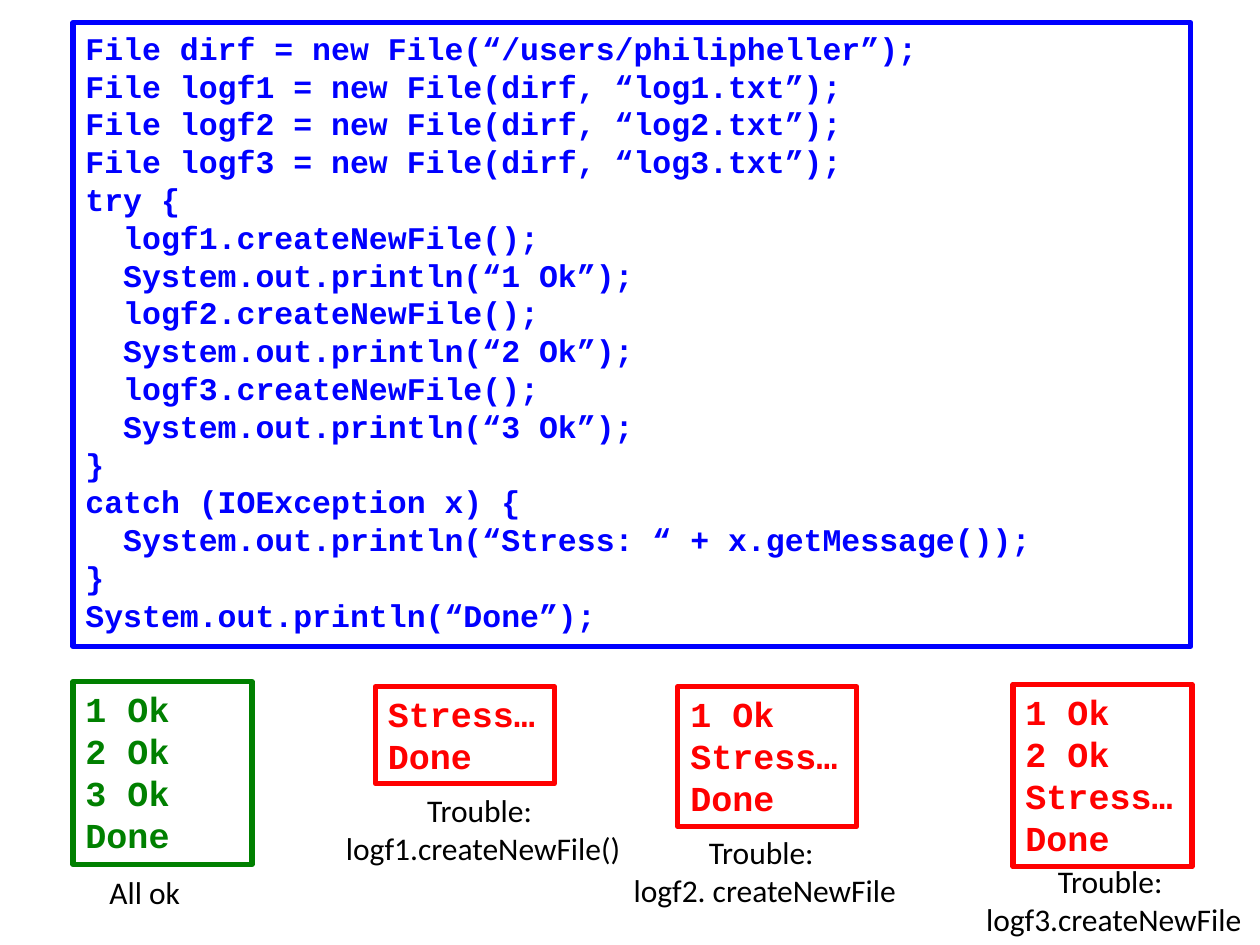
from dataclasses import dataclass

from pptx import Presentation
from pptx.dml.color import RGBColor
from pptx.enum.shapes import MSO_SHAPE
from pptx.enum.text import MSO_ANCHOR, MSO_AUTO_SIZE, PP_ALIGN
from pptx.util import Inches, Pt

RECTANGLE = MSO_SHAPE.RECTANGLE
TOP = MSO_ANCHOR.TOP
FIT_SHAPE = MSO_AUTO_SIZE.SHAPE_TO_FIT_TEXT
LEFT, CENTER = PP_ALIGN.LEFT, PP_ALIGN.CENTER

BLUE = RGBColor(0x00, 0x00, 0xFF)
GREEN = RGBColor(0x00, 0x80, 0x00)
RED = RGBColor(0xFF, 0x00, 0x00)
BLACK = RGBColor(0x00, 0x00, 0x00)

OUTPUT_WIDTH = 1.42

CODE = """\
File dirf = new File(“/users/philipheller”);
File logf1 = new File(dirf, “log1.txt”);
File logf2 = new File(dirf, “log2.txt”);
File logf3 = new File(dirf, “log3.txt”);
try {
  logf1.createNewFile();
  System.out.println(“1 Ok”);
  logf2.createNewFile();
  System.out.println(“2 Ok”);
  logf3.createNewFile();
  System.out.println(“3 Ok”);
}
catch (IOException x) {
  System.out.println(“Stress: “ + x.getMessage());
}
System.out.println(“Done”);"""


@dataclass
class CodeBox:
    left: float
    top: float
    width: float
    height: float
    text: str
    color: RGBColor
    size: int = 20


@dataclass
class Caption:
    left: float
    top: float
    width: float
    height: float
    text: str
    alignment: PP_ALIGN = CENTER


CODE_BOXES = [
    # Program listing
    CodeBox(0.58, 0.18, 8.87, 4.95, CODE, BLUE, 18),
    # Output of each possible run
    CodeBox(0.58, 5.41, OUTPUT_WIDTH, 1.45, "1 Ok\n2 Ok\n3 Ok\nDone", GREEN),
    CodeBox(2.98, 5.45, OUTPUT_WIDTH, 0.77, "Stress…\nDone", RED),
    CodeBox(5.38, 5.45, OUTPUT_WIDTH, 1.11, "1 Ok\nStress…\nDone", RED),
    CodeBox(8.04, 5.43, OUTPUT_WIDTH, 1.45, "1 Ok\n2 Ok\nStress…\nDone", RED),
]

CAPTIONS = [
    Caption(0.77, 6.88, 0.77, 0.4, "All ok", LEFT),
    Caption(2.63, 6.23, 2.41, 0.71, "Trouble: \nlogf1.createNewFile()"),
    Caption(4.91, 6.56, 2.32, 0.71, "Trouble: \nlogf2. createNewFile"),
    Caption(7.71, 6.79, 2.26, 0.71, "Trouble: \nlogf3.createNewFile"),
]


def place(item: CodeBox | Caption) -> list[Inches]:
    return [Inches(n) for n in (item.left, item.top, item.width, item.height)]


def write_text(shape, text: str, alignment: PP_ALIGN, wrap: bool, font_format: dict) -> None:
    frame = shape.text_frame
    frame.text = text
    frame.word_wrap = wrap
    frame.auto_size = FIT_SHAPE
    frame.vertical_anchor = TOP
    for paragraph in frame.paragraphs:
        paragraph.alignment = alignment
        for run in paragraph.runs:
            run.font.color.rgb = font_format["color"]
            for name, value in font_format["values"].items():
                setattr(run.font, name, value)


def draw_code_box(slide, box: CodeBox) -> None:
    shape = slide.shapes.add_shape(RECTANGLE, *place(box))
    shape.shadow.inherit = False
    shape.fill.background()
    shape.line.color.rgb = box.color
    shape.line.width = Pt(3)
    values = {"name": "Courier New", "size": Pt(box.size), "bold": True}
    write_text(shape, box.text, LEFT, True, {"color": box.color, "values": values})


def draw_caption(slide, caption: Caption) -> None:
    shape = slide.shapes.add_textbox(*place(caption))
    values = {"name": "Calibri", "size": Pt(18)}
    write_text(shape, caption.text, caption.alignment, False, {"color": BLACK, "values": values})


def main() -> None:
    presentation = Presentation()
    presentation.slide_width = Inches(10)
    presentation.slide_height = Inches(7.5)
    slide = presentation.slides.add_slide(presentation.slide_layouts[6])

    for box in CODE_BOXES:
        draw_code_box(slide, box)
    for caption in CAPTIONS:
        draw_caption(slide, caption)

    presentation.save("out.pptx")


if __name__ == "__main__":
    main()
